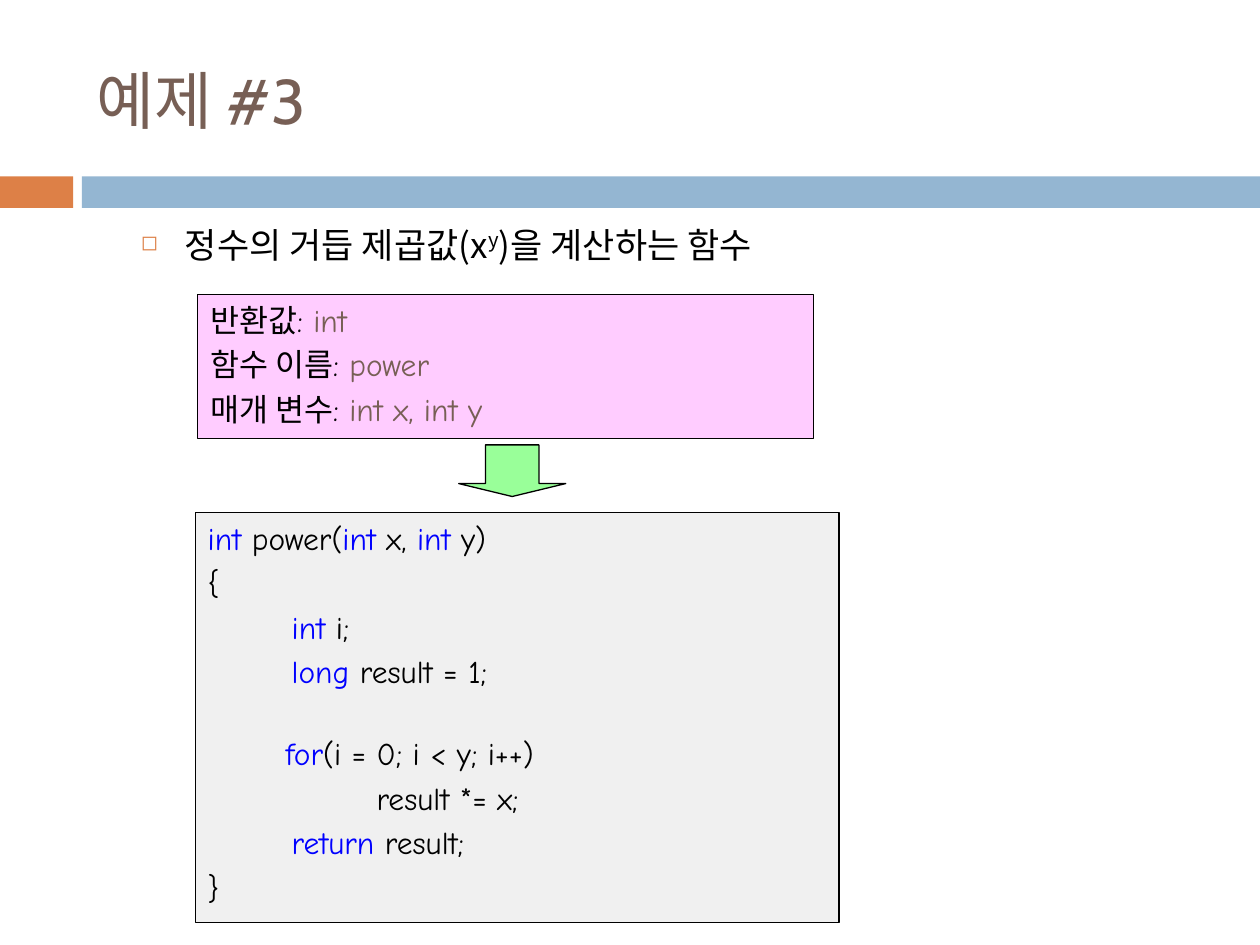
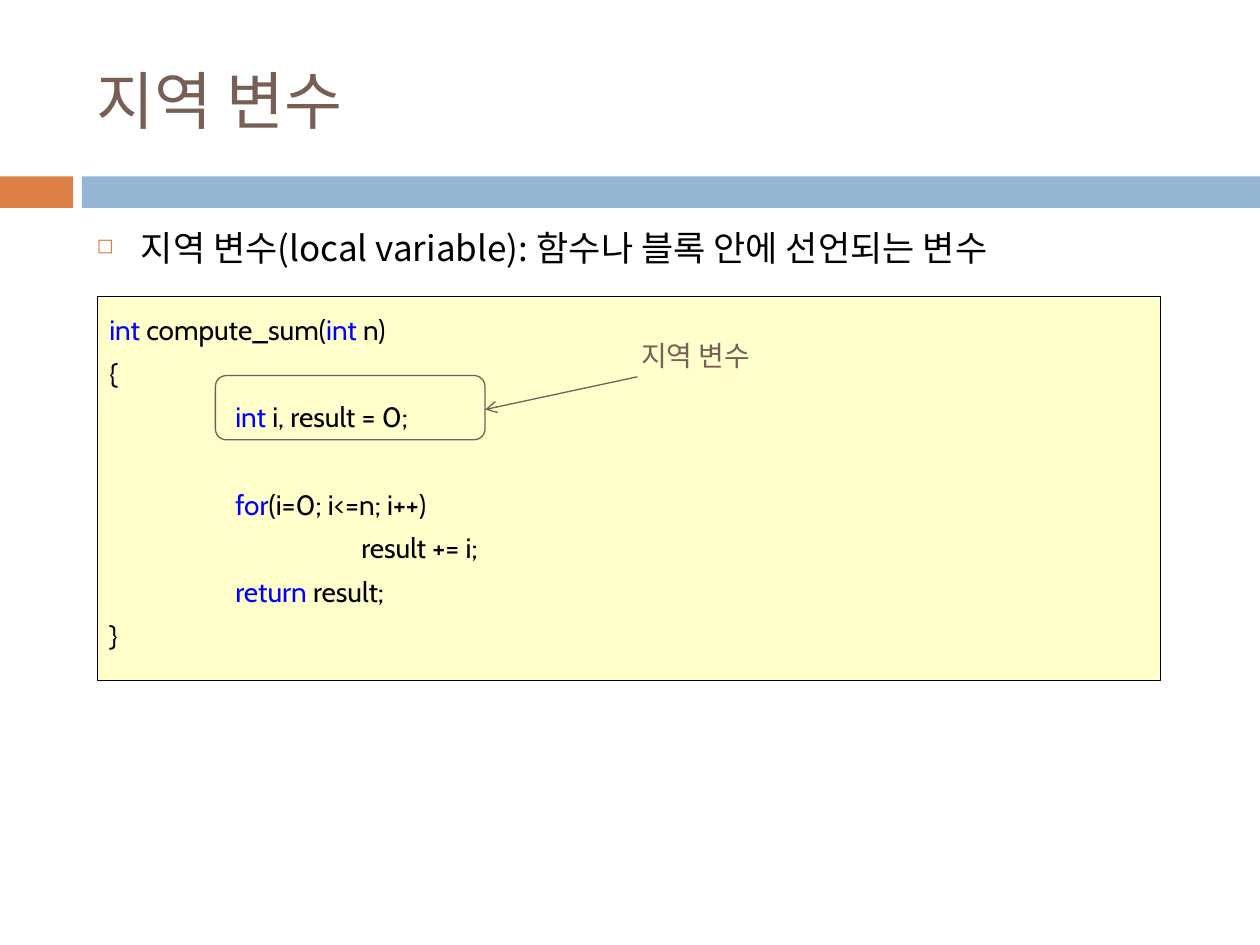
import pptx
import pptx.util
import pptx.dml.color
import pptx.enum.shapes
import pptx.enum.text
import lxml.etree
from dataclasses import dataclass

Pt = pptx.util.Pt
MSO = pptx.enum.shapes.MSO_SHAPE
qn = pptx.oxml.ns.qn


@dataclass(frozen=True)
class Theme:
    brown: str = "775F55"
    orange: str = "DD8047"
    blue: str = "94B6D2"
    black: str = "000000"
    keyword: str = "0000FF"
    pink: str = "FFCCFF"
    green: str = "99FF99"
    grey: str = "F0F0F0"
    yellow: str = "FFFFCC"
    heading_font: str = "Cabin"
    code_font: str = "Comic Neue"
    body_font: str = "Noto Sans CJK KR"
    label_font: str = "Arial"
    title_size: int = 36
    body_size: int = 20
    code_size: int = 18
    small_size: int = 16


theme = Theme()
rgb = pptx.dml.color.RGBColor.from_string


def add_box(s, kind, box, fill=None, line=None, weight=0.75):
    """Add a preset shape, or a text box when kind is None."""
    box = [Pt(v) for v in box]
    if kind is None:
        sp = s.shapes.add_textbox(*box)
    else:
        sp = s.shapes.add_shape(kind, *box)
        sp.shadow.inherit = False
        if fill:
            sp.fill.solid()
            sp.fill.fore_color.rgb = rgb(fill)
        else:
            sp.fill.background()
        if line:
            sp.line.color.rgb = rgb(line)
            sp.line.width = Pt(weight)
        else:
            sp.line.fill.background()
    return sp


def add_text(sp, lines, font, size, color=theme.black, accent=theme.black,
             spacing=None, anchor="TOP"):
    """Write lines of (left indent, space before, text); `marked` parts take the accent."""
    tf = sp.text_frame
    tf.word_wrap = True
    tf.vertical_anchor = pptx.enum.text.MSO_ANCHOR[anchor]
    for i, (indent, before, text) in enumerate(lines):
        p = tf.add_paragraph() if i else tf.paragraphs[0]
        p.alignment = pptx.enum.text.PP_ALIGN.LEFT
        p.space_before = Pt(before)
        if spacing:
            p.line_spacing = spacing
        p._p.get_or_add_pPr().set("marL", str(Pt(indent)))
        for j, part in enumerate(text.split("`")):
            if not part:
                continue
            r = p.add_run()
            r.text = part
            r.font.name = font
            r.font.size = Pt(size)
            r.font.color.rgb = rgb(accent if j % 2 else color)
            ea = lxml.etree.SubElement(r._r.get_or_add_rPr(), qn("a:ea"))
            ea.set("typeface", theme.body_font)
    return tf


prs = pptx.Presentation()
prs.slide_width, prs.slide_height = Pt(720), Pt(540)

# Bands, title and bulleted statement on each slide
pages = [
    ("예제 #3", "정수의 거듭 제곱값(x`y`)을 계산하는 함수",
     (73.4, 126.7, 646.6, 29.5), 0.9),
    ("지역 변수", "지역 변수(local variable): 함수나 블록 안에 선언되는 변수",
     (48.2, 126, 642.2, 354), None),
]
slides, statements = [], []
for title, statement, body_box, spacing in pages:
    s = prs.slides.add_slide(prs.slide_layouts[6])
    add_box(s, MSO.RECTANGLE, (0, 100.8, 41.8, 18), theme.orange)
    add_box(s, MSO.RECTANGLE, (46.8, 100.8, 673.2, 18), theme.blue)
    add_text(add_box(s, None, (48.2, 18, 642.2, 77.8)), [(0, 0, title)],
             theme.heading_font, theme.title_size, theme.brown, anchor="MIDDLE")
    tf = add_text(add_box(s, None, body_box), [(25.2, 7, statement)],
                  theme.body_font, theme.body_size, spacing=spacing)
    pPr = tf.paragraphs[0]._p.get_or_add_pPr()
    pPr.set("indent", str(Pt(-25.2)))
    bullet_color = lxml.etree.SubElement(pPr, qn("a:buClr"))
    lxml.etree.SubElement(bullet_color, qn("a:srgbClr")).set("val", theme.orange)
    lxml.etree.SubElement(pPr, qn("a:buSzPct")).set("val", "60000")
    lxml.etree.SubElement(pPr, qn("a:buChar")).set("char", "◻")
    slides.append(s)
    statements.append(tf)

# Example 3: from signature to function
s = slides[0]
exponent = statements[0].paragraphs[0].runs[1]
exponent._r.get_or_add_rPr().set("baseline", "30000")

signature = ["반환값: `int`", "함수 이름:` power`", "매개 변수: `int x, int y`"]
gap = 3.8
sp = add_box(s, MSO.RECTANGLE, (113, 168.5, 352.1, 82.1), theme.pink, theme.black)
add_text(sp, [(0, gap, text) for text in signature],
         theme.code_font, theme.code_size, accent=theme.brown)

power_code = [
    (0, gap, "`int` power(`int` x, `int` y)"),
    (0, gap, "{"),
    (48, gap, "`int` i;"),
    (48, gap, "`long` result = 1;"),
    (44.6, gap + 21.5, "`for`(i = 0; i < y; i++)"),
    (96.5, gap, "result *= x;"),
    (48, gap, "`return` result;"),
    (0, gap, "}"),
]
sp = add_box(s, MSO.RECTANGLE, (111.6, 293, 367.9, 234), theme.grey, theme.black)
add_text(sp, power_code, theme.code_font, theme.code_size, accent=theme.keyword)

sp = add_box(s, MSO.DOWN_ARROW, (262.1, 254.2, 61.2, 29.5), theme.green, theme.black)
sp.adjustments[0], sp.adjustments[1] = 0.5, 0.25

# Local variables: annotated function
s = slides[1]
tab = 72
sum_code = [
    (0, 0, "`int `compute_sum(`int` n)"),
    (0, 0, "{"),
    (tab, 0, "`int `i, result = 0;"),
    (tab, 25, "`for`(i=0; i<=n; i++)"),
    (2 * tab, 0, "result += i;"),
    (tab, 0, "`return` result;"),
    (0, 0, "}"),
]
sp = add_box(s, MSO.RECTANGLE, (55.4, 169.2, 607.7, 219.6),
             theme.yellow, theme.black, 0.25)
add_text(sp, sum_code, theme.heading_font, theme.small_size,
         accent=theme.keyword, spacing=1.3)

sp = add_box(s, MSO.ROUNDED_RECTANGLE, (123.1, 214.6, 154.1, 36.7), line=theme.brown)
sp.adjustments[0] = 0.17
add_text(add_box(s, None, (359.3, 190.1, 182.2, 26.6)), [(0, 0, "지역 변수")],
         theme.label_font, theme.small_size, theme.brown)

pointer = s.shapes.add_connector(pptx.enum.shapes.MSO_CONNECTOR.STRAIGHT,
                                 Pt(364.3), Pt(215.3), Pt(277.2), Pt(234))
pointer.line.color.rgb = rgb(theme.brown)
pointer.line.width = Pt(0.75)
lxml.etree.SubElement(pointer.line._get_or_add_ln(), qn("a:tailEnd")).set("type", "arrow")
lxml.etree.SubElement(pointer._element.spPr, qn("a:effectLst"))

prs.save("out.pptx")
